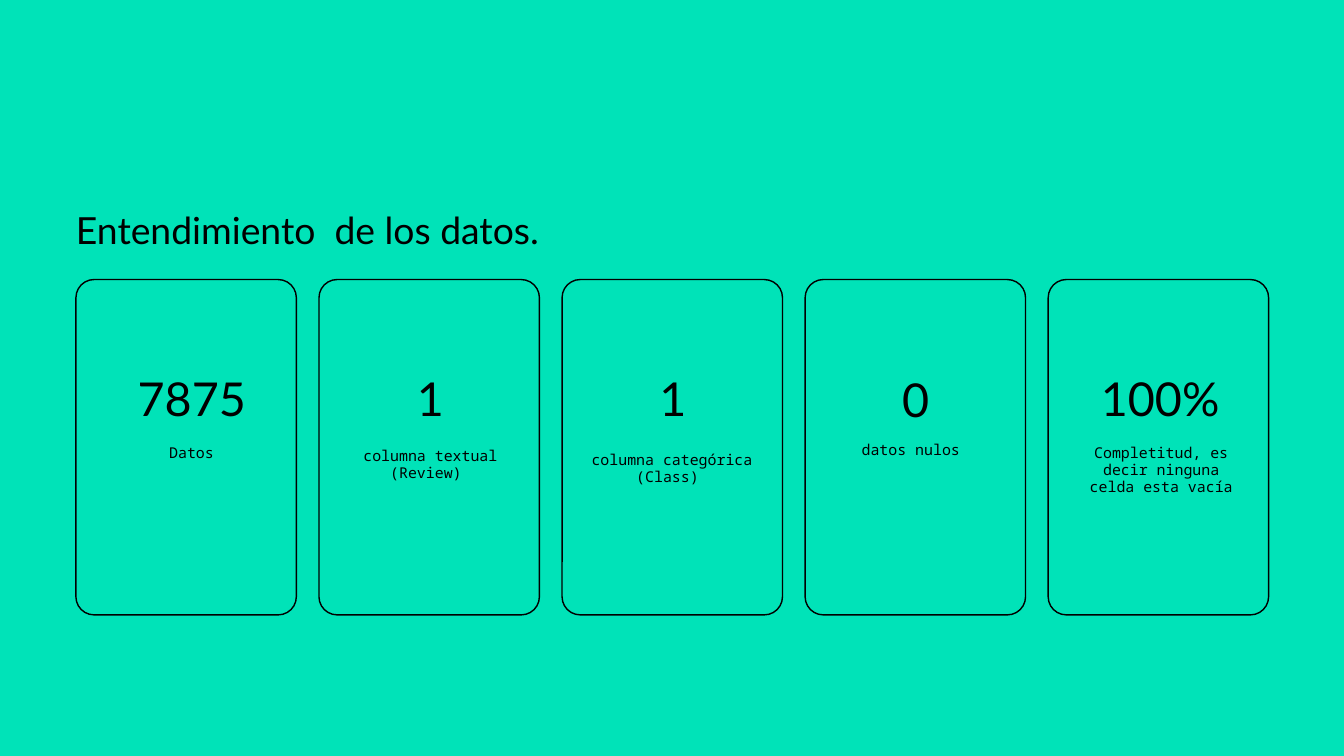
from pptx import Presentation
from pptx.dml.color import RGBColor
from pptx.enum.shapes import MSO_SHAPE
from pptx.enum.text import MSO_ANCHOR, MSO_AUTO_SIZE, PP_ALIGN
from pptx.util import Inches, Pt

ROUNDED = MSO_SHAPE.ROUNDED_RECTANGLE
TOP = MSO_ANCHOR.TOP
NO_AUTOSIZE = MSO_AUTO_SIZE.NONE
LEFT, CENTER = PP_ALIGN.LEFT, PP_ALIGN.CENTER

THEME = {
    "background": RGBColor(0x00, 0xE3, 0xB8),
    "ink": RGBColor(0x00, 0x00, 0x00),
    "heading": {"font": "Lato", "size": 40, "leading": 43.2},
    "figure": {"font": "Lato", "size": 50, "leading": 51.5},
    "caption": {"font": "Noto Sans Mono", "size": 16, "leading": 18.4},
}


def write(holder, text, *, font, size, leading, align=CENTER):
    frame = holder.text_frame
    frame.word_wrap = True
    frame.auto_size = NO_AUTOSIZE
    frame.vertical_anchor = TOP
    frame.margin_left = frame.margin_right = 0
    frame.margin_top = frame.margin_bottom = 0
    paragraph = frame.paragraphs[0]
    paragraph.alignment = align
    paragraph.line_spacing = Pt(leading)
    paragraph.space_before = Pt(0)
    run = paragraph.add_run()
    run.text = text
    run.font.name = font
    run.font.size = Pt(size)
    run.font.color.rgb = THEME["ink"]


presentation = Presentation()
presentation.slide_width = Inches(20)
presentation.slide_height = Inches(11.25)
slide = presentation.slides.add_slide(presentation.slide_layouts[5])
slide.background.fill.solid()
slide.background.fill.fore_color.rgb = THEME["background"]

# Heading
heading = slide.shapes.title
heading.left, heading.top = Inches(1.13), Inches(3.15)
heading.width, heading.height = Inches(9.49), Inches(0.63)
write(heading, "Entendimiento  de los datos.", align=LEFT, **THEME["heading"])

# Cards: figure, its left and top; caption, its left, top, width and height
CARD_LEFT, CARD_TOP = 1.13, 4.16
CARD_WIDTH, CARD_HEIGHT = 3.28, 4.99
CARD_STEP = 3.617
CORNER_RADIUS = 0.27
facts = [
    ("7875", 1.53, 5.62, "Datos", 1.59, 6.61, 2.52, 0.26),
    ("1", 5.08, 5.62, "columna textual (Review) ", 5.08, 6.65, 2.65, 0.51),
    ("1", 8.69, 5.62, "columna categórica (Class) ", 8.76, 6.71, 2.48, 0.51),
    ("0", 12.3, 5.64, "datos nulos ", 12.38, 6.57, 2.48, 0.26),
    ("100%", 15.94, 5.62, "Completitud, es decir ninguna celda esta vacía",
     16.17, 6.61, 2.22, 0.76),
]
for index, (value, value_left, value_top, meaning, *meaning_box) in enumerate(facts):
    card = slide.shapes.add_shape(
        ROUNDED, Inches(CARD_LEFT + index * CARD_STEP), Inches(CARD_TOP),
        Inches(CARD_WIDTH), Inches(CARD_HEIGHT))
    card.adjustments[0] = CORNER_RADIUS / CARD_WIDTH
    card.shadow.inherit = False
    card.fill.background()
    card.line.color.rgb = THEME["ink"]
    card.line.width = Pt(1.5)

    figure = slide.shapes.add_textbox(
        Inches(value_left), Inches(value_top), Inches(2.65), Inches(0.72))
    write(figure, value, **THEME["figure"])

    caption = slide.shapes.add_textbox(*map(Inches, meaning_box))
    write(caption, meaning, **THEME["caption"])

presentation.save("out.pptx")
